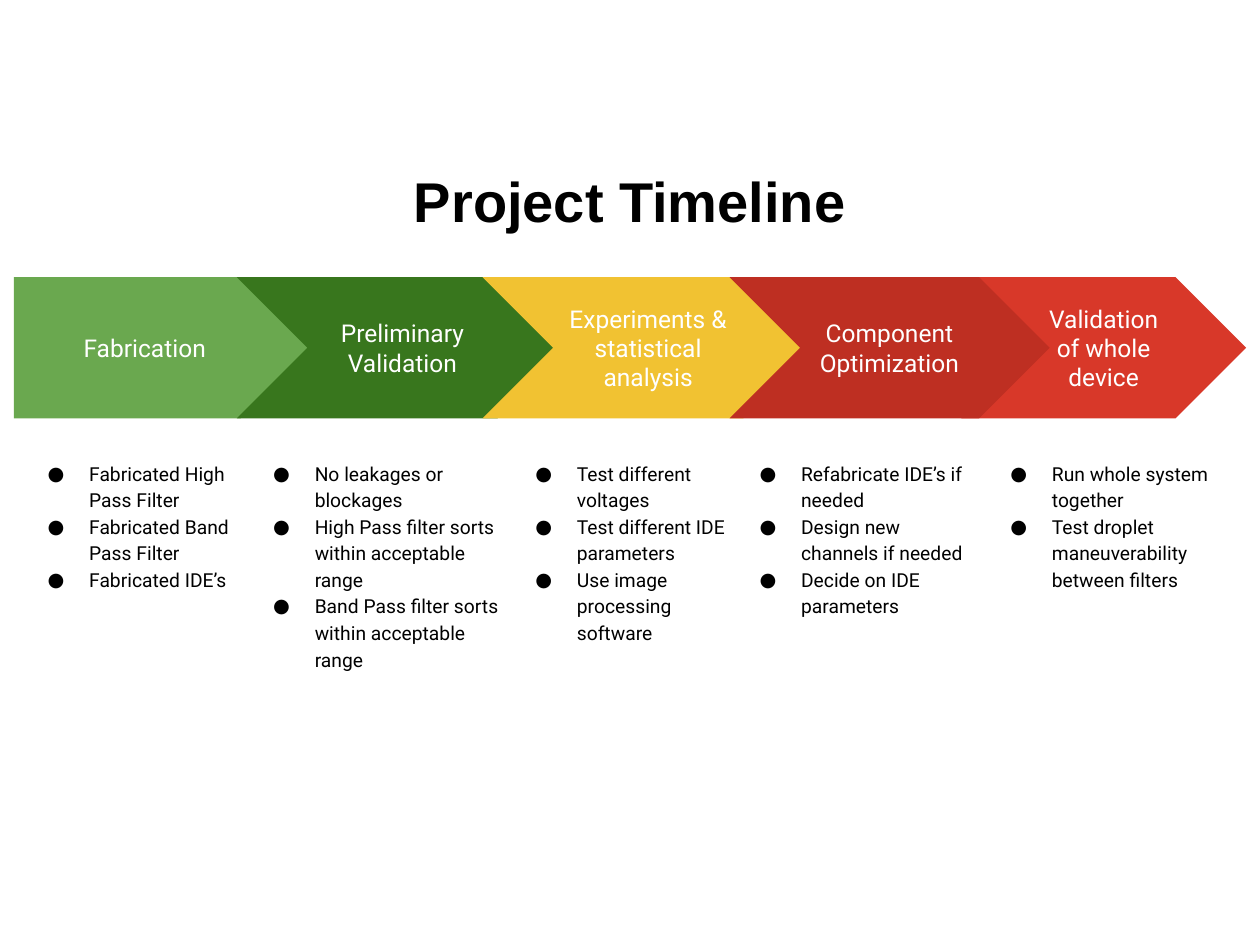
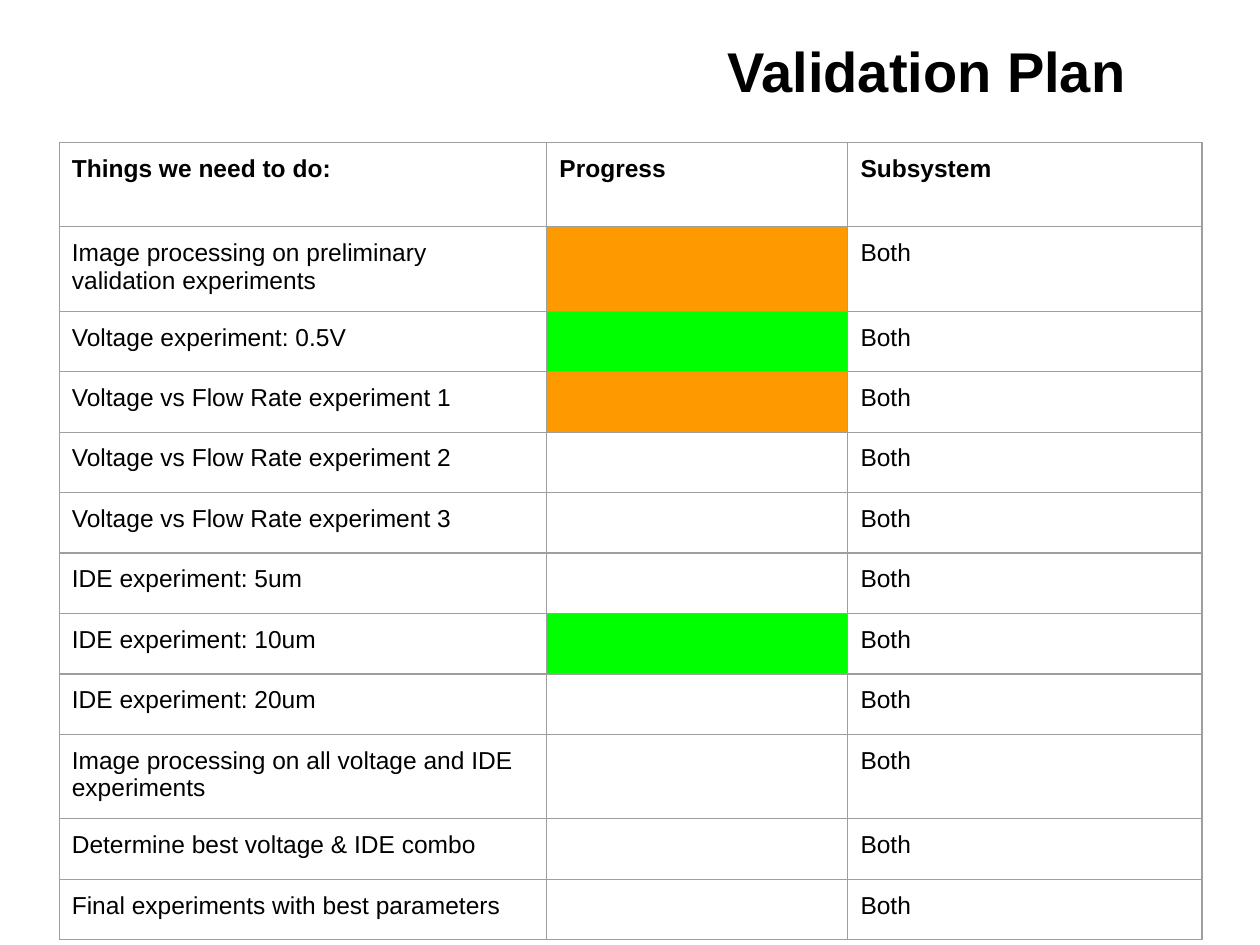
import pptx
import pptx.dml.color
import pptx.enum.shapes
import pptx.enum.text
import pptx.oxml
import pptx.oxml.ns
import pptx.util
from lxml import etree

Inches = pptx.util.Inches
Pt = pptx.util.Pt
SHAPE = pptx.enum.shapes.MSO_SHAPE
ALIGN = pptx.enum.text.PP_ALIGN
ANCHOR = pptx.enum.text.MSO_ANCHOR

BLACK, WHITE, GREY = "000000", "FFFFFF", "9E9E9E"
DOING, DONE, TODO = "FF9900", "00FF00", WHITE

# Name, colour, arrow (left, width), notes (left, width), points; back to front
STAGES = [
    ("Fabrication", "6AA84F", (0.11, 2.36), (0.11, 2.1),
     ["Fabricated High Pass Filter", "Fabricated Band Pass Filter",
      "Fabricated IDE’s"]),
    ("Preliminary Validation", "38761D", (1.88, 2.63), (1.9, 2.2),
     ["No leakages or blockages",
      "High Pass filter sorts within acceptable range",
      "Band Pass filter sorts within acceptable range"]),
    ("Experiments & statistical analysis", "F1C232", (3.83, 2.63), (3.98, 1.99),
     ["Test different voltages", "Test different IDE parameters",
      "Use image processing software"]),
    ("Validation of whole device", "D83829", (7.63, 2.26), (7.75, 1.99),
     ["Run whole system together",
      "Test droplet maneuverability between filters"]),
    ("Component Optimization", "BE2F22", (5.79, 2.54), (5.76, 2.1),
     ["Refabricate IDE’s if needed", "Design new channels if needed",
      "Decide on IDE parameters"]),
]

HEADS = ["Things we need to do:", "Progress", "Subsystem"]
# Task, progress colour, lines of text
TASKS = [
    ("Image processing on preliminary validation experiments", DOING, 2),
    ("Voltage experiment: 0.5V", DONE, 1),
    ("Voltage vs Flow Rate experiment 1", DOING, 1),
    ("Voltage vs Flow Rate experiment 2", TODO, 1),
    ("Voltage vs Flow Rate experiment 3", TODO, 1),
    ("IDE experiment: 5um", TODO, 1),
    ("IDE experiment: 10um", DONE, 1),
    ("IDE experiment: 20um", TODO, 1),
    ("Image processing on all voltage and IDE experiments", TODO, 2),
    ("Determine best voltage & IDE combo", TODO, 1),
    ("Final experiments with best parameters", TODO, 1),
]
HIGH = {1: 0.48, 2: 0.67}


def color(code):
    return pptx.dml.color.RGBColor.from_string(code)


def paint(part, code):
    part.fill.solid()
    part.fill.fore_color.rgb = color(code)


def style(para, face, size, code, bold=False):
    font = para.font
    font.name, font.size, font.bold = face, Pt(size), bold
    font.color.rgb = color(code)


def pad(frame, across=0.1, down=0.1):
    """Set the margins of a text frame or a table cell."""
    frame.margin_left = frame.margin_right = Inches(across)
    frame.margin_top = frame.margin_bottom = Inches(down)


def add_sub(node, tag, **attrs):
    return etree.SubElement(node, pptx.oxml.ns.qn(tag), **attrs)


def add_slide(deck, title, box):
    """Add a title-only slide with its title set in the box."""
    slide = deck.slides.add_slide(deck.slide_layouts[5])
    head = slide.shapes.title
    head.left, head.top, head.width, head.height = map(Inches, box)
    frame = head.text_frame
    frame.text = title
    frame.auto_size = pptx.enum.text.MSO_AUTO_SIZE.NONE
    frame.vertical_anchor = ANCHOR.MIDDLE
    pad(frame, down=0.05)
    para = frame.paragraphs[0]
    para.alignment = ALIGN.CENTER
    style(para, "Arial", 32, BLACK, True)
    return slide


def add_arrow(slide, kind, name, code, box):
    arrow = slide.shapes.add_shape(kind, *map(Inches, box))
    arrow.shadow.inherit = False
    arrow.adjustments[0] = 0.5
    paint(arrow, code)
    arrow.line.fill.background()
    frame = arrow.text_frame
    frame.text = name
    frame.word_wrap = True
    frame.vertical_anchor = ANCHOR.MIDDLE
    pad(frame)
    para = frame.paragraphs[0]
    para.alignment = ALIGN.CENTER
    style(para, "Roboto", 14, WHITE)


def add_notes(slide, points, box):
    """Add a bulleted list in the box."""
    frame = slide.shapes.add_textbox(*map(Inches, box)).text_frame
    frame.word_wrap = True
    pad(frame)
    frame.text = "\n".join(points)
    for para in frame.paragraphs:
        para.line_spacing = 1.15
        props = para._p.get_or_add_pPr()
        props.set("marL", str(Inches(0.5)))
        props.set("indent", str(-Inches(0.33)))
        add_sub(add_sub(props, "a:buClr"), "a:srgbClr", val=BLACK)
        add_sub(props, "a:buSzPts", val="1100")
        add_sub(props, "a:buFont", typeface="Roboto")
        add_sub(props, "a:buChar", char="●")
        style(para, "Roboto", 11, BLACK)


def add_border(cell):
    props = cell._tc.get_or_add_tcPr()
    for side in "LRTB":
        line = add_sub(props, "a:ln" + side, w=str(Pt(0.75)))
        add_sub(add_sub(line, "a:solidFill"), "a:srgbClr", val=GREY)


def add_cell(cell, text, fill=WHITE, bold=False):
    """Fill a cell; an empty one has thin margins so its row stays low."""
    pad(cell, down=0.1 if text else 0.05)
    add_border(cell)
    paint(cell, fill)
    cell.text = text
    style(cell.text_frame.paragraphs[0], "Arial", 14, BLACK, bold)


def add_plan(slide, left, top):
    """Add the table of tasks with its corner at left, top."""
    wide = [3.87, 2.39, 2.81]
    tall = [HIGH[2]] + [HIGH[lines] for _, _, lines in TASKS]
    box = (left, top, sum(wide), sum(tall))
    table = slide.shapes.add_table(
        len(tall), len(wide), *map(Inches, box)).table
    table.first_row = table.horz_banding = False
    for col, width in zip(table.columns, wide):
        col.width = Inches(width)
    for row, height in zip(table.rows, tall):
        row.height = Inches(height)
    for col, head in enumerate(HEADS):
        add_cell(table.cell(0, col), head, bold=True)
    for row, (task, state, _) in enumerate(TASKS, 1):
        add_cell(table.cell(row, 0), task)
        add_cell(table.cell(row, 1), "", state)
        add_cell(table.cell(row, 2), "Both")


def add_stages(slide, top):
    """Add the row of arrows at top, with the notes under it."""
    for num, (name, code, arrow, notes, points) in enumerate(STAGES):
        kind = SHAPE.CHEVRON if num else SHAPE.PENTAGON
        add_arrow(slide, kind, name, code, (arrow[0], top, arrow[1], 1.12))
        add_notes(slide, points, (notes[0], top + 1.34, notes[1], 2.57))


def main():
    deck = pptx.Presentation()
    deck.slide_width, deck.slide_height = Inches(10), Inches(7.5)
    add_stages(add_slide(deck, "Project Timeline", (0.5, 1.15, 9, 0.88)), 2.2)
    add_plan(add_slide(deck, "Validation Plan", (5, 0.12, 4.71, 0.88)),
             0.47, 1.13)
    deck.save("out.pptx")


if __name__ == "__main__":
    main()
